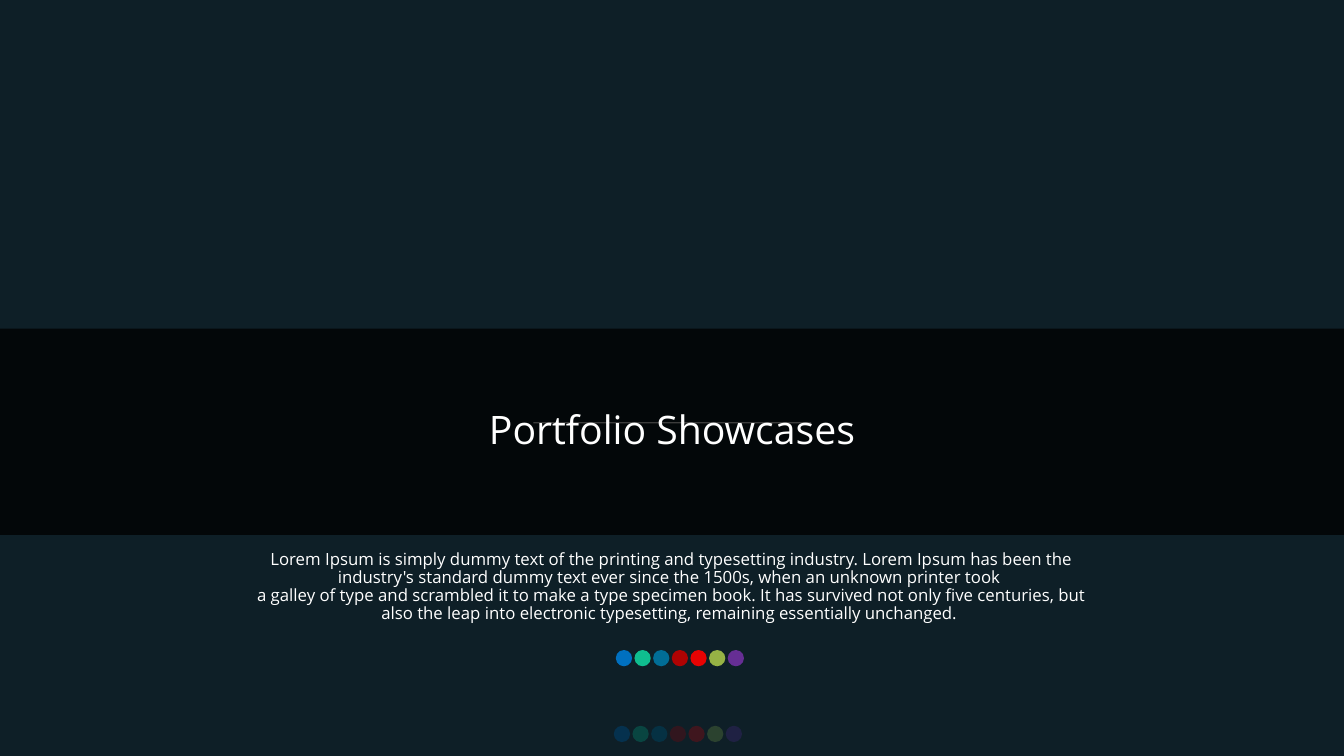
import dataclasses

import lxml.etree
import pptx
import pptx.dml.color
import pptx.enum.shapes
import pptx.enum.text
import pptx.oxml.ns
import pptx.util
from pptx.util import Cm, Pt


@dataclasses.dataclass(frozen=True)
class Theme:
    font: str = "Open Sans"
    title_size: int = 28
    body_size: int = 12
    text: str = "FFFFFF"
    background: str = "262626"
    overlay: str = "071D28"
    band: str = "000000"
    rule: str = "F2F2F2"
    veil_opacity: int = 75
    dot_opacity: int = 90
    dots: tuple = ("0070C0", "10CF9B", "0076A3", "C00000",
                   "FF0000", "A5C249", "7030A0")


THEME = Theme()
SLIDE_WIDTH, SLIDE_HEIGHT = Cm(33.87), Cm(19.05)
TITLE = "Portfolio Showcases"
BODY = (
    "Lorem Ipsum is simply dummy text of the printing and typesetting industry. "
    "Lorem Ipsum has been the industry's standard dummy text ever since the 1500s, "
    "when an unknown printer took \v"
    "a galley of type and scrambled it to make a type specimen book. It has survived "
    "not only five centuries, but also the leap into electronic typesetting, "
    "remaining essentially unchanged. "
)


def rgb(color):
    return pptx.dml.color.RGBColor.from_string(color)


def add_filled(shapes, kind, box, color, opacity=100):
    """Add a borderless shape; opacity is a percentage."""
    shape = shapes.add_shape(kind, *box)
    shape.shadow.inherit = False
    shape.line.fill.background()
    shape.fill.solid()
    shape.fill.fore_color.rgb = rgb(color)
    if opacity < 100:
        color_element = shape.element.spPr.find(".//" + pptx.oxml.ns.qn("a:srgbClr"))
        alpha = lxml.etree.SubElement(color_element, pptx.oxml.ns.qn("a:alpha"))
        alpha.set("val", str(opacity * 1000))
    return shape


def add_dot_row(slide, left, top):
    """Add one row of evenly spaced colour dots as a group."""
    diameter, pitch = Cm(0.41), Cm(0.47)
    group = slide.shapes.add_group_shape()
    for index, color in enumerate(THEME.dots):
        add_filled(group.shapes, pptx.enum.shapes.MSO_SHAPE.OVAL,
                   (left + index * pitch, top, diameter, diameter),
                   color, THEME.dot_opacity if index else 100)


def set_text(shape, text, size, line_spacing):
    frame = shape.text_frame
    frame.word_wrap = True
    frame.auto_size = pptx.enum.text.MSO_AUTO_SIZE.SHAPE_TO_FIT_TEXT
    paragraph = frame.paragraphs[0]
    paragraph.text = text
    paragraph.alignment = pptx.enum.text.PP_ALIGN.CENTER
    paragraph.line_spacing = line_spacing
    paragraph.font.name = THEME.font
    paragraph.font.size = Pt(size)
    paragraph.font.color.rgb = rgb(THEME.text)


def add_body(slide, left, top, width, height):
    body = slide.shapes.add_textbox(left, top, width, height)
    frame = body.text_frame
    frame.margin_left = frame.margin_right = Cm(0.33)
    frame.margin_top = frame.margin_bottom = Cm(0.15)
    set_text(body, BODY, THEME.body_size, 0.89)


def add_title_band(slide, left, top, width, height):
    """Add the dark band with the title, raised above it, at its centre."""
    add_filled(slide.shapes, pptx.enum.shapes.MSO_SHAPE.RECTANGLE,
               (left, top, width, height), THEME.band, THEME.veil_opacity)
    title = slide.shapes.title
    title.width, title.height = Cm(21.56), Cm(1.35)
    title.left = left + (width - title.width) // 2
    title.top = top + (height - title.height) // 2
    title.text_frame.vertical_anchor = pptx.enum.text.MSO_ANCHOR.MIDDLE
    set_text(title, TITLE, THEME.title_size, 0.9)
    title.element.getparent().append(title.element)


def build_showcase(presentation):
    title_only = presentation.slide_layouts[5]
    slide = presentation.slides.add_slide(title_only)
    slide.background.fill.solid()
    slide.background.fill.fore_color.rgb = rgb(THEME.background)

    rectangle = pptx.enum.shapes.MSO_SHAPE.RECTANGLE
    add_dot_row(slide, Cm(15.47), Cm(18.29))
    add_filled(slide.shapes, rectangle, (0, 0, SLIDE_WIDTH, SLIDE_HEIGHT),
               THEME.overlay, THEME.veil_opacity)
    add_filled(slide.shapes, rectangle, (Cm(13.44), Cm(10.64), Cm(7), Cm(0.03)),
               THEME.rule)
    add_body(slide, Cm(5.92), Cm(13.74), Cm(22.02), Cm(2.39))
    add_title_band(slide, 0, Cm(8.28), SLIDE_WIDTH, Cm(5.2))
    add_dot_row(slide, Cm(15.52), Cm(16.38))


def main():
    presentation = pptx.Presentation()
    presentation.slide_width, presentation.slide_height = SLIDE_WIDTH, SLIDE_HEIGHT
    build_showcase(presentation)
    presentation.save("out.pptx")


if __name__ == "__main__":
    main()
